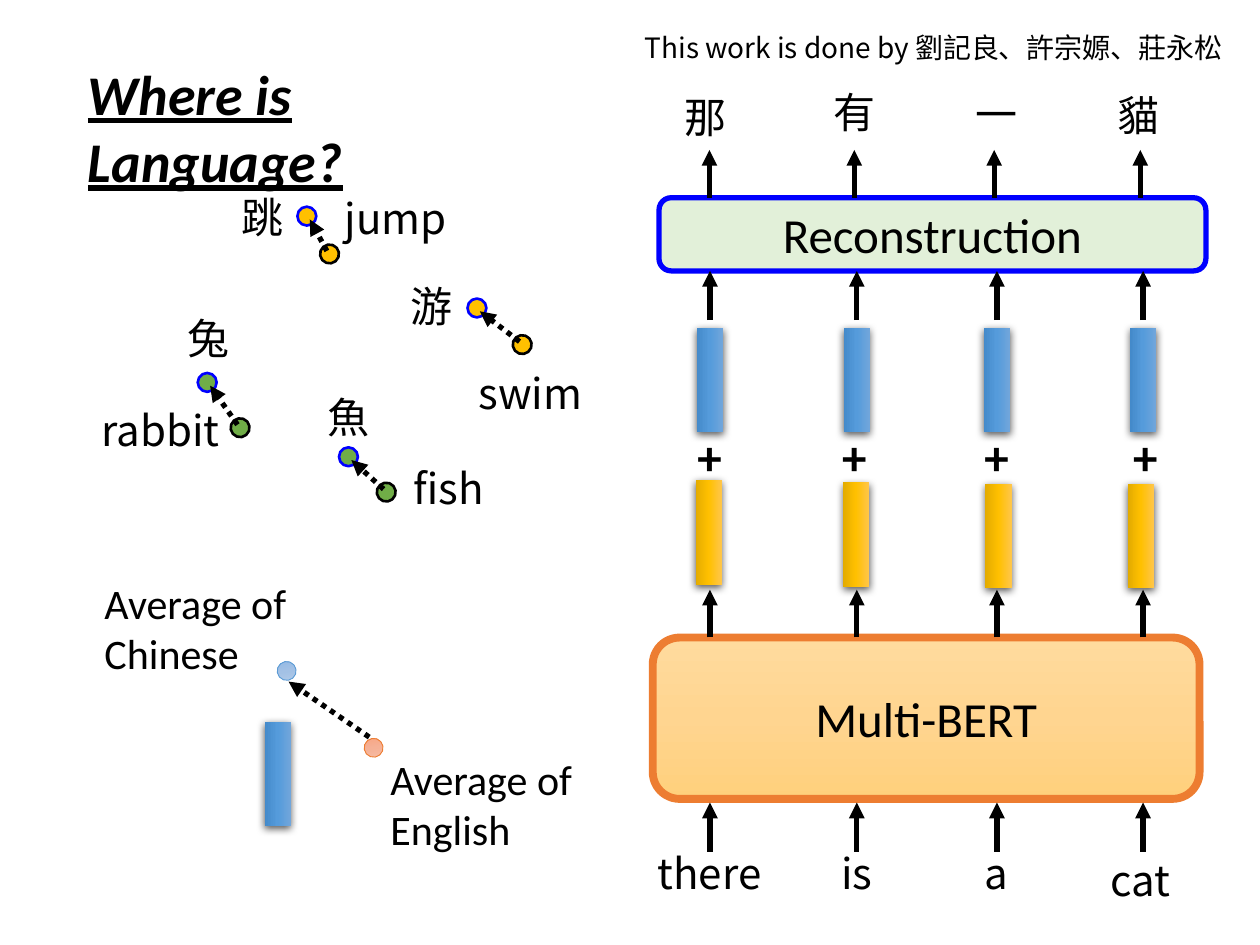
from dataclasses import dataclass

from lxml import etree
from pptx import Presentation
from pptx import util as u
from pptx.dml import color
from pptx.enum import dml, shapes, text
from pptx.oxml import ns, parse_xml

Pt = u.Pt
Point = tuple[float, float]
HEX = {"black": "000000", "blue": "0000FF", "green": "70AD47", "gold": "FFC000",
       "mint": "E2F0D9", "orange": "ED7D31", "sky": "5B9BD5"}
GRADIENTS = {
    "model": ("FFDB9E", "FFD590", "FFD07C"),
    "yellow bar": ("FFC64B", "FFC000", "E3AB00"),
    "blue bar": ("71A6DB", "559BDB", "448ACA"),
    "chinese": ("B1CBE9", "A3C1E5", "93B9E4"),
    "english": ("F7BDA5", "F5B196", "F8A582"),
}
LATIN, CJK = "Calibri", "Noto Sans CJK TC"
LEFT, CENTER, RIGHT = text.PP_ALIGN.LEFT, text.PP_ALIGN.CENTER, text.PP_ALIGN.RIGHT
DOT, BAR_LENGTH, BAR_WIDTH, LABEL_W, LABEL_H = 10.8, 59.8, 15.1, 80.6, 36


@dataclass
class Token:
    """One column of the network, with the centres of its parts."""
    x: float
    word: str
    word_at: Point
    char: str
    char_at: Point
    out_x: float
    plus_x: float
    yellow: Point


@dataclass
class Pair:
    """A Chinese word and its English partner in embedding space."""
    color: str
    char: str
    char_at: Point
    char_dot: Point
    word: str
    word_at: Point
    word_dot: Point


TOKENS = [
    Token(405.7, "there", (405.4, 481), "那", (403.2, 49), 405.4, 405.4, (405, 304.2)),
    Token(489.6, "is", (489.6, 481), "有", (488.2, 46.1), 488.2, 488.2, (489.2, 305.6)),
    Token(569.7, "a", (569.5, 481), "一", (569.5, 46.8), 568.1, 569.5, (570.6, 306.4)),
    Token(653.2, "cat", (651.6, 484.6), "貓", (650.5, 47.5), 651.6, 654.5, (652, 306.4)),
]
PAIRS = [
    Pair("green", "魚", (180, 220.3), (199.1, 261), "fish", (229, 260.6), (220.7, 281.2)),
    Pair("green", "兔", (100, 175), (118.4, 218.5), "rabbit", (51, 227.5), (137.2, 244.4)),
    Pair("gold", "跳", (131, 105.8), (175.3, 123.5), "jump", (190, 106.6), (188.3, 145.1)),
    Pair("gold", "游", (227.5, 157), (272.5, 176), "swim", (266.4, 206.6), (298.4, 196.9)),
]


def rgb(name: str):
    return color.RGBColor.from_string(HEX[name])


def write(tf, words: str, size: float, font: str, align, bold=False, title=False) -> None:
    tf.text = words
    tf.word_wrap = True
    p = tf.paragraphs[0]
    p.alignment = align
    for r in p.runs:
        r.font.size, r.font.name = Pt(size), font
        r.font.color.rgb = rgb("black")
        if bold:
            r.font.bold = True
        if title:
            r.font.italic = r.font.underline = True
        etree.SubElement(r.font._element, ns.qn("a:ea"), typeface=font)


def label(s, words: str, at: Point, w: float, h: float, size=24.0, font=CJK,
          align=LEFT, bold=False, title=False) -> None:
    tf = s.shapes.add_textbox(Pt(at[0]), Pt(at[1]), Pt(w), Pt(h)).text_frame
    write(tf, words, size, font, align, bold, title)
    tf.auto_size = text.MSO_AUTO_SIZE.SHAPE_TO_FIT_TEXT


def centered_label(s, words: str, at: Point, w=LABEL_W, h=LABEL_H, **style) -> None:
    label(s, words, (at[0] - w / 2, at[1]), w, h, align=CENTER, **style)


def shape(s, kind, at: Point, w: float, h: float, fill: str, line="", width=0.0):
    sp = s.shapes.add_shape(kind, Pt(at[0]), Pt(at[1]), Pt(w), Pt(h))
    if fill in GRADIENTS:
        stops = "".join(f'<a:gs pos="{i * 50000}"><a:srgbClr val="{c}"/></a:gs>'
                        for i, c in enumerate(GRADIENTS[fill]))
        grad = parse_xml(f'<a:gradFill {ns.nsdecls("a")} rotWithShape="1"><a:gsLst>{stops}'
                         '</a:gsLst><a:lin ang="5400000" scaled="0"/></a:gradFill>')
        sp._element.spPr.insert(2, grad)
    else:
        sp.fill.solid()
        sp.fill.fore_color.rgb = rgb(fill)
    if line:
        sp.line.color.rgb = rgb(line)
        sp.line.width = Pt(width)
    else:
        sp.line.fill.background()
    sp.shadow.inherit = False
    return sp


def layer(s, words: str, at: Point, h: float, fill: str, line: str, width: float) -> None:
    sp = shape(s, shapes.MSO_SHAPE.ROUNDED_RECTANGLE, at, 312.5, h, fill, line, width)
    write(sp.text_frame, words, 28, LATIN, CENTER)
    sp.text_frame.vertical_anchor = text.MSO_ANCHOR.MIDDLE


def bar(s, center: Point, fill: str) -> None:
    at = (center[0] - BAR_LENGTH / 2, center[1] - BAR_WIDTH / 2)
    sp = shape(s, shapes.MSO_SHAPE.RECTANGLE, at, BAR_LENGTH, BAR_WIDTH, fill)
    sp.rotation = 90
    sp._element.spPr.find(ns.qn("a:effectLst")).append(parse_xml(
        f'<a:outerShdw {ns.nsdecls("a")} blurRad="{Pt(4.5)}" dist="{Pt(1.5)}" dir="5400000" '
        'rotWithShape="0"><a:srgbClr val="000000"><a:alpha val="63000"/></a:srgbClr>'
        '</a:outerShdw>'))


def dot(s, center: Point, fill: str, line: str, width=1.5, rotation=169.8) -> None:
    at = (center[0] - DOT / 2, center[1] - DOT / 2)
    shape(s, shapes.MSO_SHAPE.OVAL, at, DOT, DOT, fill, line, width).rotation = rotation


def arrow(s, start: Point, end: Point, dotted=False) -> None:
    cx = s.shapes.add_connector(shapes.MSO_CONNECTOR.STRAIGHT,
                                Pt(start[0]), Pt(start[1]), Pt(end[0]), Pt(end[1]))
    cx.line.color.rgb = rgb("black")
    cx.line.width = Pt(3)
    if dotted:
        cx.line.dash_style = dml.MSO_LINE.ROUND_DOT
    etree.SubElement(cx.line._get_or_add_ln(), ns.qn("a:tailEnd"), type="triangle")
    etree.SubElement(cx._element.spPr, ns.qn("a:effectLst"))


def column(s, t: Token) -> None:
    for x, bottom, top in ((t.x, 486.7, 458.6), (t.x, 364.3, 337),
                           (t.x, 182.9, 154.8), (t.out_x, 113, 85.7)):
        arrow(s, (x, bottom), (x, top))
    bar(s, t.yellow, "yellow bar")
    bar(s, (t.x, 217.1), "blue bar")
    centered_label(s, "+", (t.plus_x, 240), 39, 41, size=28, font=LATIN, bold=True)
    centered_label(s, t.word, t.word_at)
    centered_label(s, t.char, t.char_at)


def word_pair(s, pair: Pair) -> None:
    label(s, pair.char, pair.char_at, 92.2, LABEL_H)
    label(s, pair.word, pair.word_at, 92.2, LABEL_H)
    dot(s, pair.char_dot, pair.color, "blue", rotation=90)
    dot(s, pair.word_dot, pair.color, "black")
    (x1, y1), (x2, y2) = pair.word_dot, pair.char_dot
    arrow(s, (x1 - 1.5, y1 - 1.7), (x2 + 1.7, y2 + 1.9), dotted=True)


def main() -> None:
    prs = Presentation()
    prs.slide_width, prs.slide_height = Pt(720), Pt(540)
    s = prs.slides.add_slide(prs.slide_layouts[6])

    # Title and authors
    label(s, "Where is Language?", (43.2, 30.2), 280, 46, size=32, font=LATIN,
          bold=True, title=True)
    label(s, "This work is done by 劉記良、許宗嫄、莊永松", (265, 13.7), 440.6, 26.6,
          size=16, align=RIGHT)

    # Network: two layers and four token columns
    layer(s, "Multi-BERT", (373, 364.3), 92.2, "model", "orange", 4.5)
    layer(s, "Reconstruction", (376.6, 113), 41.8, "mint", "blue", 3)
    for t in TOKENS:
        column(s, t)

    # Embedding space
    for pair in PAIRS:
        word_pair(s, pair)

    # Language averages and their difference vector
    arrow(s, (211, 421.2), (164.9, 389.5), dotted=True)
    dot(s, (163.8, 383.4), "chinese", "sky", 0.5)
    dot(s, (213.5, 427.3), "english", "orange", 0.5)
    label(s, "Average of Chinese", (52.6, 326.2), 123, 65.5, font=LATIN)
    label(s, "Average of English", (216, 427), 123, 65.5, font=LATIN)
    bar(s, (158.8, 442.4), "blue bar")

    prs.save("out.pptx")


if __name__ == "__main__":
    main()
